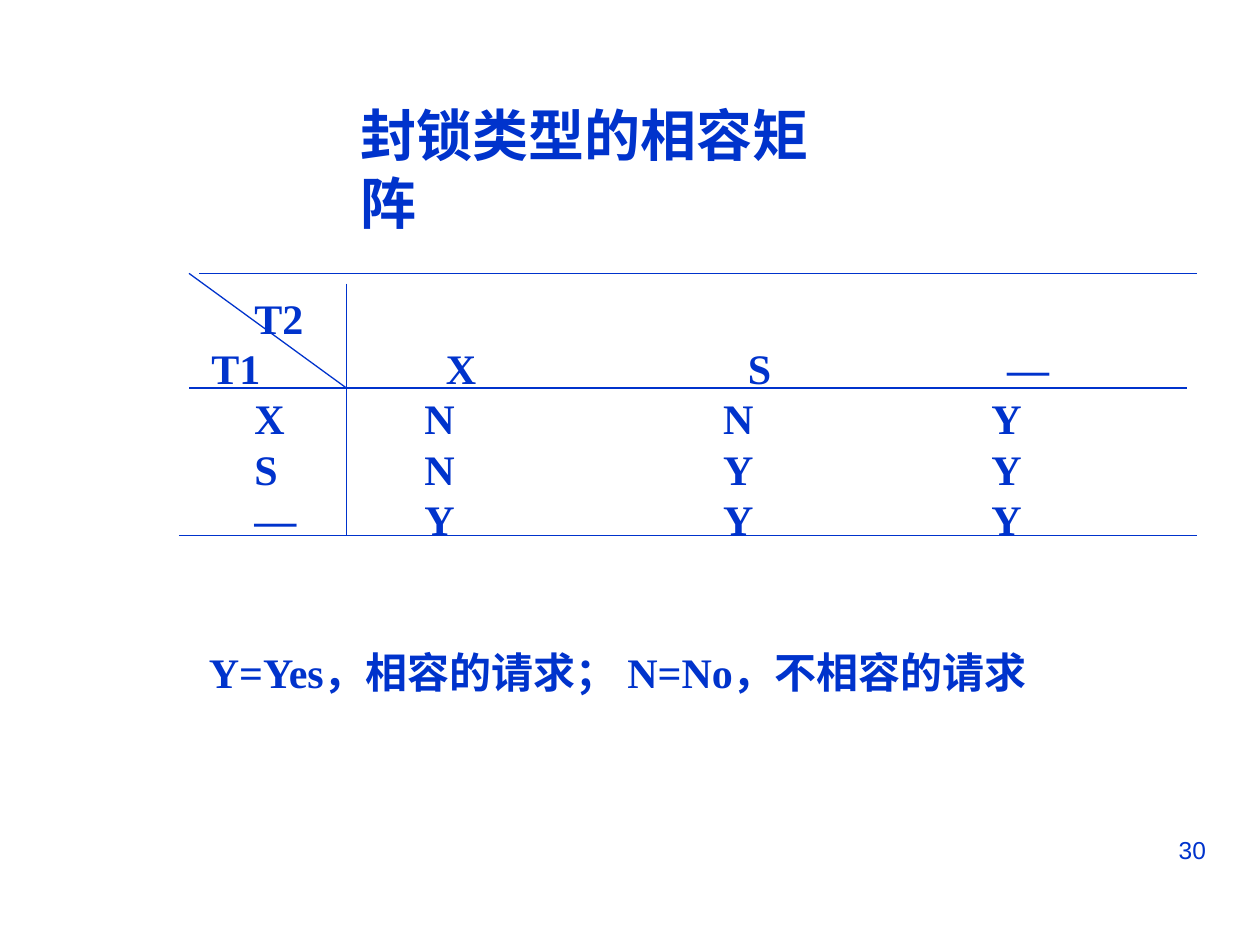
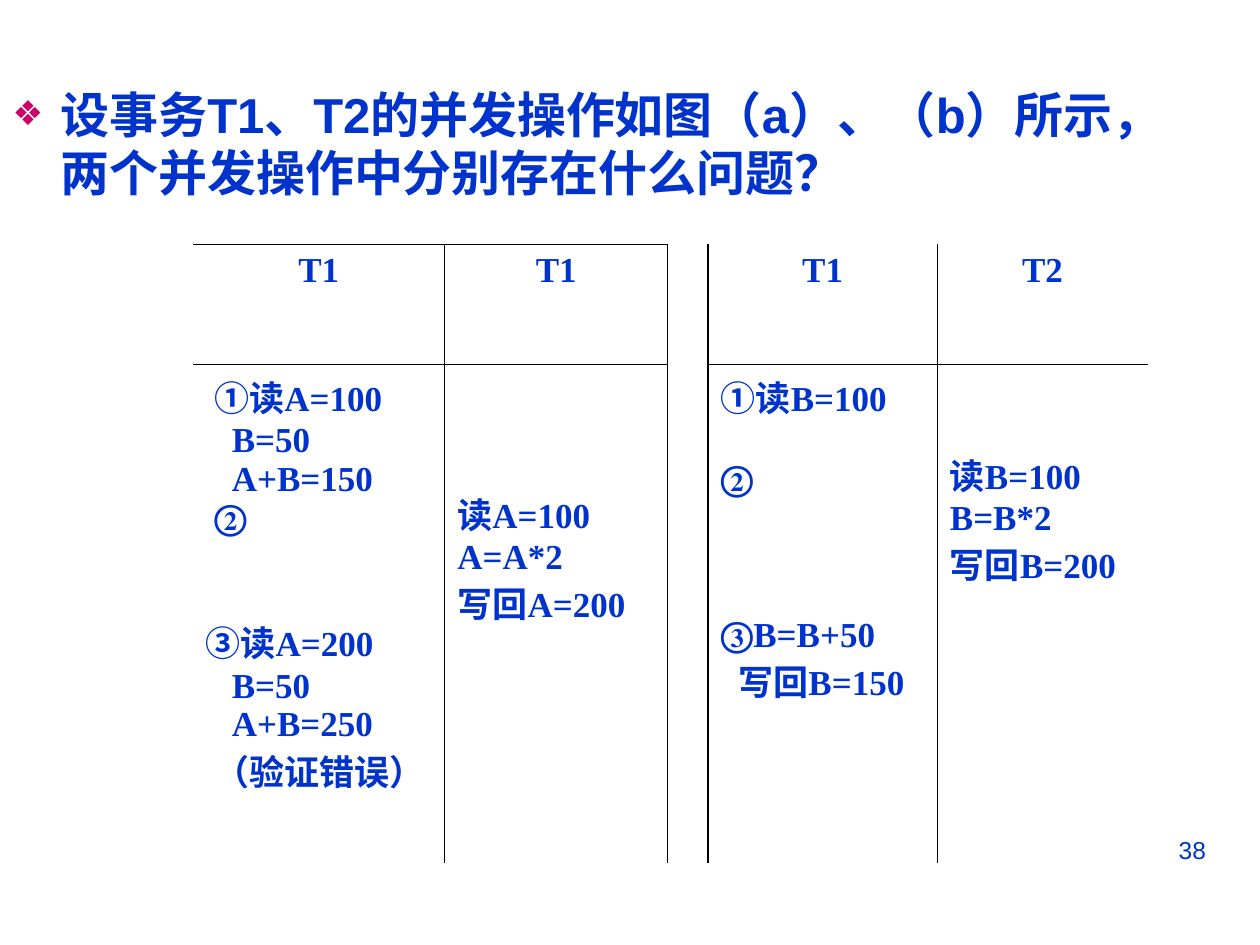
from lxml.etree import SubElement
from pptx import Presentation
from pptx.dml.color import RGBColor
from pptx.enum.shapes import MSO_CONNECTOR as Connector
from pptx.enum.text import MSO_ANCHOR as Anchor, MSO_AUTO_SIZE as AutoSize, PP_ALIGN as Align
from pptx.oxml.ns import qn
from pptx.util import Inches, Pt

BLUE, PINK, BLACK = "0033CC", "CC0066", "000000"
SERIF, SANS = "Times New Roman", "Arial"

MATRIX_TITLE = "封锁类型的相容矩阵"
LEGEND = "Y=Yes，相容的请求； N=No，不相容的请求"
MATRIX_HEADER = ["T1", "X", "S", "—"]
MATRIX_ROWS = [
    ["X", "N", "N", "Y"],
    ["S", "N", "Y", "Y"],
    ["—", "Y", "Y", "Y"],
]
MATRIX_LEFT, MATRIX_TOP = 1.27, 2.32
LABEL_X, HEADER_LABEL_X = 2.02, 1.68
VALUE_CENTERS, HEADER_SHIFT = [3.49, 5.86, 7.99], 0.17
MATRIX_LINES = [
    (1.58, 2.17, 9.5, 2.17),
    (2.75, 2.25, 2.75, 4.25),
    (1.42, 4.25, 9.5, 4.25),
    (1.5, 3.08, 9.42, 3.08),
    (1.5, 2.17, 2.75, 3.08),
]

QUESTION = "设事务T1、T2的并发操作如图（a）、（b）所示，两个并发操作中分别存在什么问题？"
SCHEDULE_HEADER = ["T1", "T1", "", "T1", "T2"]
# Each step: text, indent in spaces, free lines above
SCHEDULE_STEPS = [
    [("①读A=100", 1, 0), ("B=50", 3, 0), ("A+B=150", 3, 0), ("②", 1, 0),
     ("③读A=200", 0, 2), ("B=50", 3, 0), ("A+B=250", 3, 0), ("（验证错误）", 1, 0)],
    [("读A=100", 0, 3), ("A=A*2", 0, 0), ("写回A=200", 0, 0)],
    [],
    [("①读B=100", 0, 0), ("②", 0, 1), ("③B=B+50", 0, 3), ("写回B=150", 2, 0)],
    [("读B=100", 0, 2), ("B=B*2", 0, 0), ("写回B=200", 0, 0)],
]
COLUMN_WIDTHS, ROW_HEIGHTS = [2, 1.77, 0.32, 1.82, 1.67], [0.95, 3.96]
GAP_COLUMN = 2
SPACE_WIDTH, FREE_LINE = 0.07, 0.31
THIN, THICK = 0.45, 0.96


def color(value):
    return RGBColor.from_string(value)


def style(paragraph, size, name=SERIF, bold=True):
    font = paragraph.font
    font.size, font.name, font.bold = Pt(size), name, bold
    font.color.rgb = color(BLUE)


def place(shape, left, top, width, height):
    shape.left, shape.top = Inches(left), Inches(top)
    shape.width, shape.height = Inches(width), Inches(height)


def prepare_frame(frame, wrap=False):
    frame.word_wrap = wrap
    frame.auto_size = AutoSize.NONE
    frame.vertical_anchor = Anchor.TOP


def add_text(slide, box, text=""):
    frame = slide.shapes.add_textbox(*map(Inches, box)).text_frame
    prepare_frame(frame)
    frame.text = text
    return frame


def add_page_number(slide, number):
    paragraph = add_text(slide, (7.17, 6.58, 2.5, 0.52), str(number)).paragraphs[0]
    paragraph.alignment = Align.RIGHT
    style(paragraph, 14, SANS, False)


def add_tabs(paragraph, stops):
    tabs = SubElement(paragraph._p.get_or_add_pPr(), qn("a:tabLst"))
    for x, kind in stops:
        SubElement(tabs, qn("a:tab"), pos=str(Inches(x - MATRIX_LEFT)), algn=kind)


def add_line(slide, ends):
    line = slide.shapes.add_connector(Connector.STRAIGHT, *map(Inches, ends))
    line.line.color.rgb = color(BLUE)
    line.line.width = Pt(0.75)
    SubElement(line._element.spPr, qn("a:effectLst"))


def build_matrix_slide(presentation):
    slide = presentation.slides.add_slide(presentation.slide_layouts[5])
    title = slide.shapes.title
    place(title, 2.76, 0.75, 4.2, 1.17)
    title.text_frame.text = MATRIX_TITLE
    prepare_frame(title.text_frame)
    title.text_frame.paragraphs[0].alignment = Align.LEFT
    style(title.text_frame.paragraphs[0], 32)

    header_centers = [x + HEADER_SHIFT for x in VALUE_CENTERS]
    lines = [(["T2"], LABEL_X, []), (MATRIX_HEADER, HEADER_LABEL_X, header_centers)]
    lines += [(row, LABEL_X, VALUE_CENTERS) for row in MATRIX_ROWS]
    frame = add_text(slide, (MATRIX_LEFT - 0.1, MATRIX_TOP - 0.05, 8.09, 2.1))
    for index, (words, label_x, centers) in enumerate(lines):
        paragraph = frame.add_paragraph() if index else frame.paragraphs[0]
        paragraph.text = "\t" + "\t".join(words)
        paragraph.line_spacing = Pt(28.8)
        add_tabs(paragraph, [(label_x, "l")] + [(x, "ctr") for x in centers])
        style(paragraph, 24)
    for ends in MATRIX_LINES:
        add_line(slide, ends)
    style(add_text(slide, (1.56, 5.08, 6.97, 0.5), LEGEND).paragraphs[0], 24)
    add_page_number(slide, 30)


def add_bullet(paragraph):
    properties = paragraph._p.get_or_add_pPr()
    properties.set("marL", str(Inches(0.38)))
    properties.set("indent", str(-Inches(0.38)))
    bullet_color = SubElement(properties, qn("a:buClr"))
    SubElement(bullet_color, qn("a:srgbClr"), val=PINK)
    SubElement(properties, qn("a:buSzPct"), val="70000")
    SubElement(properties, qn("a:buChar"), char="❖")


def set_borders(cell, widths):
    properties = cell._tc.get_or_add_tcPr()
    for side, width in zip("LRTB", widths):
        border = SubElement(properties, qn(f"a:ln{side}"), w=str(Pt(width)))
        if width:
            fill = SubElement(border, qn("a:solidFill"))
            SubElement(fill, qn("a:srgbClr"), val=BLACK)
        else:
            SubElement(border, qn("a:noFill"))


def fill_steps(cell, steps):
    frame = cell.text_frame
    for index, (text, indent, free_lines) in enumerate(steps):
        paragraph = frame.add_paragraph() if index else frame.paragraphs[0]
        paragraph.text = text
        gap = Inches(free_lines * FREE_LINE)
        if index:
            paragraph.space_before = gap
        else:
            cell.margin_top = Inches(0.05) + gap
        paragraph._p.get_or_add_pPr().set("marL", str(Inches(indent * SPACE_WIDTH)))
        style(paragraph, 20)


def add_schedule(slide):
    box = (1.53, 1.94, sum(COLUMN_WIDTHS), sum(ROW_HEIGHTS))
    table = slide.shapes.add_table(2, 5, *map(Inches, box)).table
    table.first_row = table.horz_banding = False
    for column, width in zip(table.columns, COLUMN_WIDTHS):
        column.width = Inches(width)
    for row, height in zip(table.rows, ROW_HEIGHTS):
        row.height = Inches(height)
    verticals = [0, THIN, THICK, THICK, THIN, 0]
    for index, (heading, steps) in enumerate(zip(SCHEDULE_HEADER, SCHEDULE_STEPS)):
        top = THIN if index < GAP_COLUMN else 0
        middle = 0 if index == GAP_COLUMN else THIN
        head, body = table.cell(0, index), table.cell(1, index)
        set_borders(head, verticals[index:index + 2] + [top, middle])
        set_borders(body, verticals[index:index + 2] + [middle, 0])
        for cell in (head, body):
            cell.fill.background()
        if heading:
            head.text = heading
            paragraph = head.text_frame.paragraphs[0]
            paragraph.alignment = Align.CENTER
            style(paragraph, 20)
        fill_steps(body, steps)


def build_schedule_slide(presentation):
    slide = presentation.slides.add_slide(presentation.slide_layouts[1])
    title = slide.shapes.title._element
    title.getparent().remove(title)
    question = slide.placeholders[1]
    place(question, 0, 0.63, 9.41, 1.1)
    question.text_frame.text = QUESTION
    prepare_frame(question.text_frame, True)
    paragraph = question.text_frame.paragraphs[0]
    add_bullet(paragraph)
    paragraph.space_before = Pt(0)
    paragraph.line_spacing = Pt(33)
    style(paragraph, 28, SANS)
    add_schedule(slide)
    add_page_number(slide, 38)


def main():
    presentation = Presentation()
    presentation.slide_width, presentation.slide_height = Inches(10), Inches(7.5)
    build_matrix_slide(presentation)
    build_schedule_slide(presentation)
    presentation.save("out.pptx")


if __name__ == "__main__":
    main()
